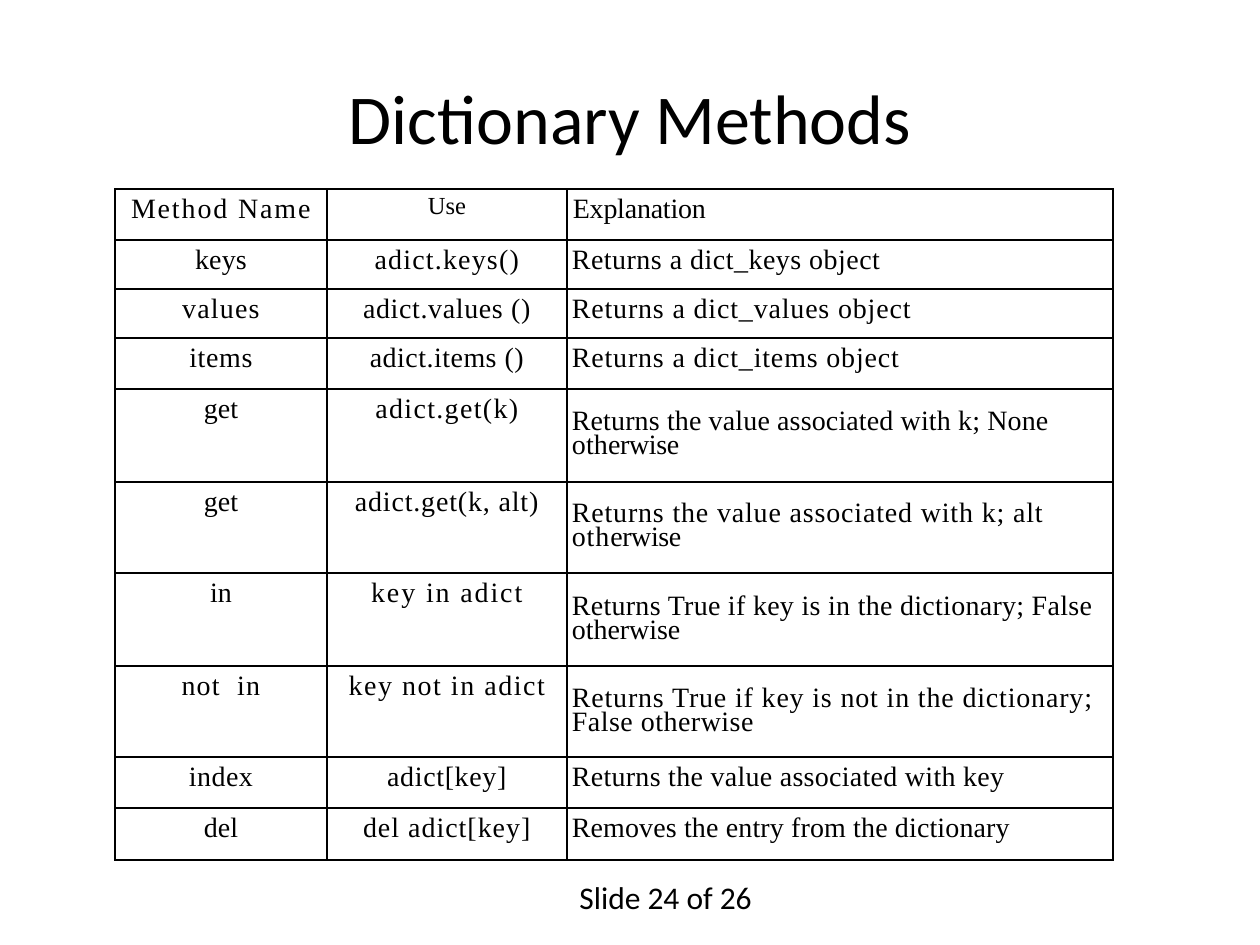
from lxml import etree
from pptx import Presentation
from pptx.dml.color import RGBColor
from pptx.enum.text import MSO_ANCHOR, MSO_AUTO_SIZE, PP_ALIGN
from pptx.oxml.ns import qn
from pptx.util import Emu, Pt

CENTER, LEFT = PP_ALIGN.CENTER, PP_ALIGN.LEFT
BLACK = RGBColor(0x00, 0x00, 0x00)
WHITE = RGBColor(0xFF, 0xFF, 0xFF)
PIXELS_PER_INCH = 126
CELL_MARGIN = 4
COLUMN_WIDTHS = [212, 240, 546]
ROW_HEIGHTS = [51, 49, 49, 51, 93, 91, 93, 91, 51, 52]


def px(length):
    return Emu(round(length * 914400 / PIXELS_PER_INCH))


def write(frame, *runs, size=16, font="Times New Roman", align=LEFT,
          line_spacing=None, indent=0):
    """Fill the first paragraph with (text, letter spacing in points) runs."""
    paragraph = frame.paragraphs[0]
    paragraph.alignment = align
    paragraph.line_spacing = line_spacing
    paragraph._p.get_or_add_pPr().set("marL", str(px(indent)))
    for text, spacing in runs:
        run = paragraph.add_run()
        run.text = text
        run.font.size = Pt(size)
        run.font.name = font
        run.font.color.rgb = BLACK
        run._r.get_or_add_rPr().set("spc", str(round(spacing * 100)))


# Each row: name run, use run, explanation runs, exact line height in points
# for explanations that take two lines.
METHODS = [
    (("Method Name", 1.1), ("Use", 0), [("Explanation", -0.1)], None),
    (("keys", 0.1), ("adict.keys()", 0.7), [("Returns a dict_keys object", 0.3)], None),
    (("values", 0.7), ("adict.values ()", 0.4), [("Returns a dict_values object", 0.5)], None),
    (("items", 0.4), ("adict.items ()", 0.3), [("Returns a dict_items object", 0.5)], None),
    (("get", 0), ("adict.get(k)", 0.8),
     [("Returns the value associated with k; None oth", 0.1), ("erwise", -0.2)], 13.7),
    (("get", 0), ("adict.get(k, alt)", 0.5),
     [("Returns the value associated with k; alt oth", 0.5), ("erwise", -0.2)], 13.4),
    (("in", 0), ("key in adict", 1.1),
     [("Returns True if key is in the dictionary; False ", 0.2), ("otherwise", 0)], 13.9),
    (("not  in", 0.7), ("key not in adict", 0.9),
     [("Returns True if key is not in the dictionary; ", 0.5), ("False otherwise", 0.3)], 13.7),
    (("index", 0.3), ("adict[key]", 0.4), [("Returns the value associated with key", 0.2)], None),
    (("del", 0), ("del adict[key]", 0.6), [("Removes the entry from the dictionary", 0.1)], None),
]

presentation = Presentation()
presentation.slide_width, presentation.slide_height = px(1260), px(945)
slide = presentation.slides.add_slide(presentation.slide_layouts[5])

title = slide.shapes.title
title.left, title.top, title.width, title.height = px(63), px(38), px(1134), px(157)
title.text_frame.vertical_anchor = MSO_ANCHOR.MIDDLE
write(title.text_frame, ("Dictionary Methods", 0), size=40, font="Calibri", align=CENTER)

page_label = slide.shapes.add_textbox(px(567), px(872), px(205), px(50))
page_label.text_frame.word_wrap = False
page_label.text_frame.auto_size = MSO_AUTO_SIZE.SHAPE_TO_FIT_TEXT
write(page_label.text_frame, ("Slide 24 of 26", 0), size=18, font="Calibri")

table = slide.shapes.add_table(
    len(METHODS), len(COLUMN_WIDTHS), px(115), px(189),
    px(sum(COLUMN_WIDTHS)), px(sum(ROW_HEIGHTS))).table
table.first_row = False
table.horz_banding = False
for column, width in zip(table.columns, COLUMN_WIDTHS):
    column.width = px(width)
for row, height in zip(table.rows, ROW_HEIGHTS):
    row.height = px(height)

for cell in table.iter_cells():
    cell.margin_left = cell.margin_right = px(CELL_MARGIN)
    cell.margin_top = cell.margin_bottom = 0
    properties = cell._tc.get_or_add_tcPr()
    for side in ("a:lnL", "a:lnR", "a:lnT", "a:lnB"):
        border = etree.SubElement(properties, qn(side), w=str(Pt(1)))
        fill = etree.SubElement(border, qn("a:solidFill"))
        etree.SubElement(fill, qn("a:srgbClr"), val=str(BLACK))
    cell.fill.solid()
    cell.fill.fore_color.rgb = WHITE

for index, (name, use, explanation, line_height) in enumerate(METHODS):
    is_header = index == 0
    name_cell, use_cell, explanation_cell = table.rows[index].cells
    write(name_cell.text_frame, name, align=CENTER, line_spacing=1.15)
    write(use_cell.text_frame, use, size=14 if is_header else 16,
          align=CENTER, line_spacing=1.15)
    if line_height:
        explanation_cell.margin_top = Pt(line_height)
    write(explanation_cell.text_frame, *explanation, indent=2 if is_header else 1,
          line_spacing=Pt(line_height) if line_height else 1.15)

presentation.save("out.pptx")
